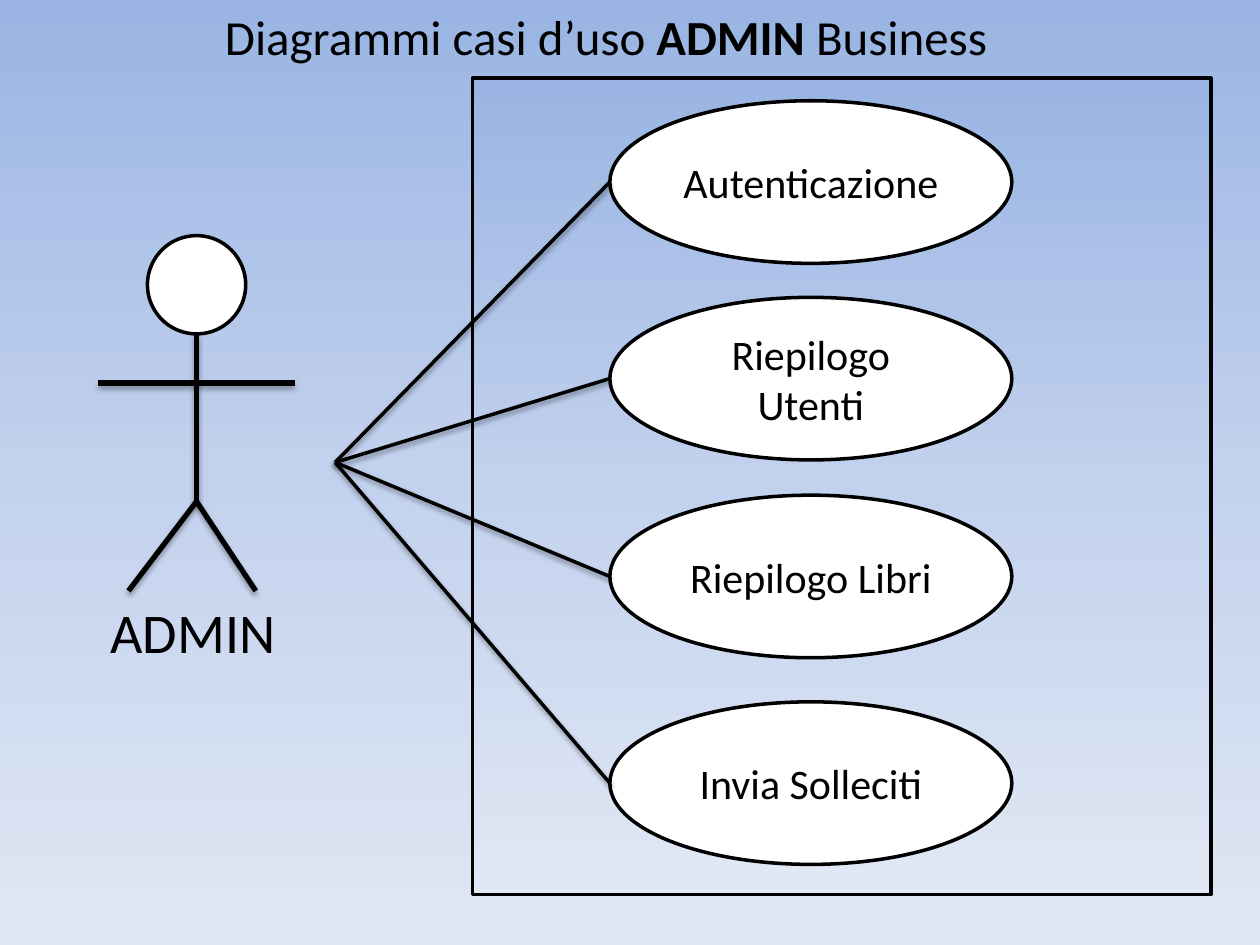
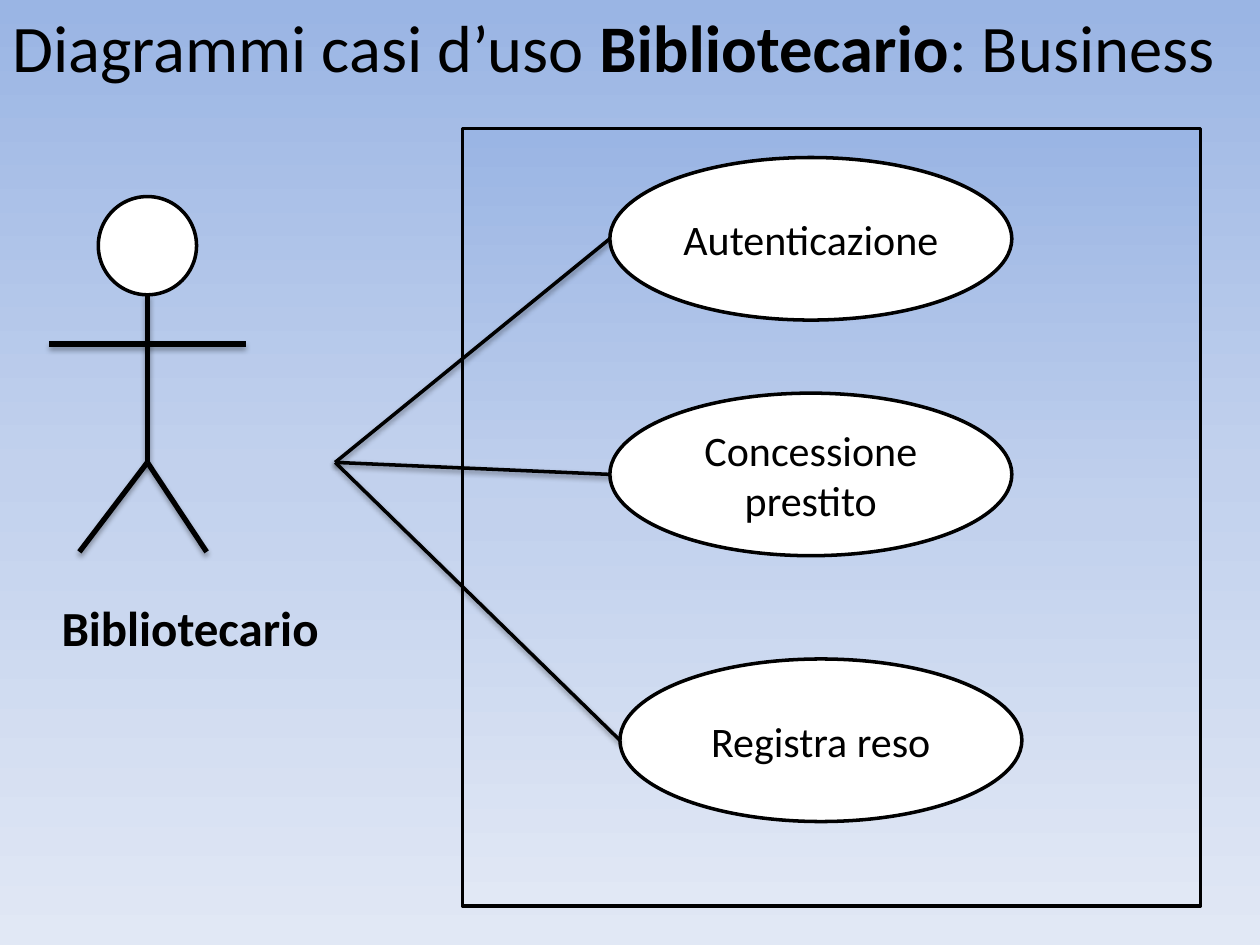
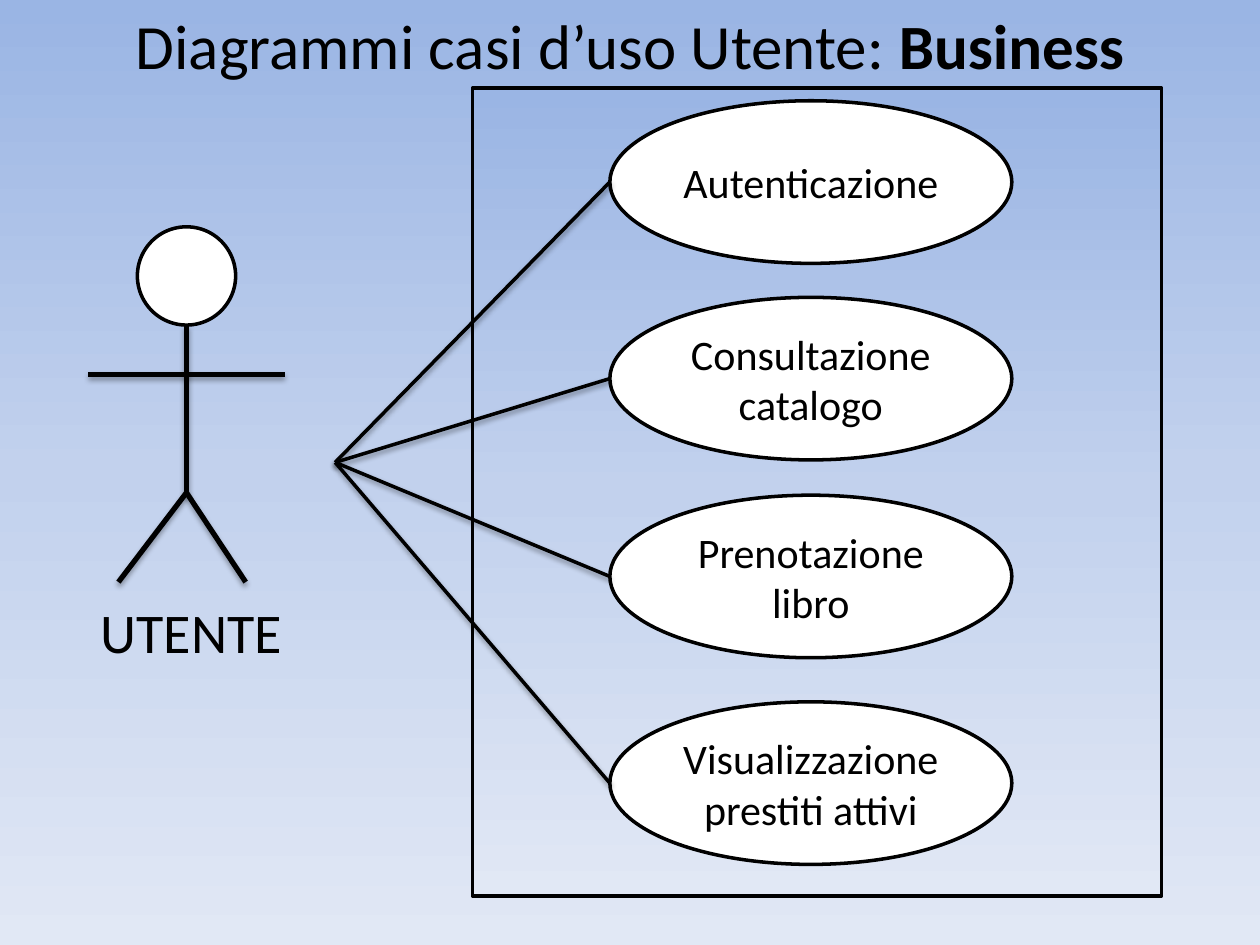
from lxml.etree import SubElement
from pptx import Presentation
from pptx.dml.color import RGBColor
from pptx.enum.shapes import MSO_CONNECTOR as Connector, MSO_SHAPE as Shape
from pptx.enum.text import MSO_ANCHOR as Anchor, MSO_AUTO_SIZE as AutoSize, PP_ALIGN as Align
from pptx.oxml.ns import qn
from pptx.util import Inches, Pt

BLACK = RGBColor(0x00, 0x00, 0x00)
WHITE = RGBColor(0xFF, 0xFF, 0xFF)
SKY_STOPS = [
    (0, RGBColor(0x9A, 0xB5, 0xE4)),
    (50, RGBColor(0xC2, 0xD1, 0xED)),
    (100, RGBColor(0xE1, 0xE8, 0xF5)),
]
FONT = "Calibri"

CASE_W, CASE_H, CASE_X = 3.19, 1.29, 4.84
CASE_SIZE = 24
HUB = (2.66, 3.67)
HEAD = 0.78
LABEL_Y = 4.69
LIMBS = [
    ((0, 0.78), (0, 2.11)),
    ((0, 2.11), (-0.54, 2.82)),
    ((0, 2.11), (0.47, 2.82)),
    ((-0.78, 1.17), (0.78, 1.17)),
]
LINK_STYLE = {"width": 2, "alpha": 38, "distance": 1.6}
LIMB_STYLE = {"width": 3, "alpha": 35, "distance": 1.8}

DIAGRAMS = [
    {
        "title": [("Diagrammi casi d’uso ", False), ("ADMIN ", True), ("Business", False)],
        "title_box": (0.31, 0, 9, 1.25),
        "title_size": 28,
        "title_align": Align.CENTER,
        "system": (3.75, 0.62, 5.86, 6.48),
        "cases": [
            ("Autenticazione", CASE_X, 0.8),
            ("Riepilogo Utenti", CASE_X, 2.36),
            ("Riepilogo Libri", CASE_X, 3.93),
            ("Invia Solleciti", CASE_X, 5.57),
        ],
        "actor": ("ADMIN", False),
        "actor_box": (0.78, LABEL_Y, 1.56, 0.64),
        "actor_size": 32,
        "head_top": (1.56, 1.87),
    },
    {
        "title": [("Diagrammi casi d’uso ", False), ("Bibliotecario", True), (": Business", False)],
        "title_box": (0, 0, 10, 1.48),
        "title_size": 38,
        "title_align": Align.LEFT,
        "system": (3.67, 1.02, 5.86, 6.17),
        "cases": [
            ("Autenticazione", CASE_X, 1.25),
            ("Concessione prestito", CASE_X, 3.12),
            ("Registra reso", 4.92, 5.23),
        ],
        "actor": ("Bibliotecario", True),
        "actor_box": (0.39, LABEL_Y, 2.27, 0.57),
        "actor_size": 28,
        "head_top": (1.17, 1.56),
    },
    {
        "title": [("Diagrammi casi d’uso Utente: ", False), ("Business", True)],
        "title_box": (0, 0, 10, 1.33),
        "title_size": 36,
        "title_align": Align.CENTER,
        "system": (3.75, 0.7, 5.47, 6.41),
        "cases": [
            ("Autenticazione", CASE_X, 0.8),
            ("Consultazione catalogo", CASE_X, 2.36),
            ("Prenotazione libro", CASE_X, 3.93),
            ("Visualizzazione prestiti attivi", CASE_X, 5.57),
        ],
        "actor": ("UTENTE", False),
        "actor_box": (0.7, LABEL_Y, 1.64, 0.64),
        "actor_size": 32,
        "head_top": (1.48, 1.8),
    },
]


def inches(lengths):
    return [Inches(length) for length in lengths]


def paint_sky(fill, owner):
    fill.gradient()
    fill.gradient_angle = 270
    stops = next(owner.iter(qn("a:gsLst")))
    for stop in list(stops):
        stops.remove(stop)
    for position, color in SKY_STOPS:
        stop = SubElement(stops, qn("a:gs"), pos=str(position * 1000))
        SubElement(stop, qn("a:srgbClr"), val=str(color))


def write(frame, runs, size, align):
    frame.word_wrap = True
    paragraph = frame.paragraphs[0]
    paragraph.alignment = align
    for words, bold in runs:
        run = paragraph.add_run()
        run.text = words
        run.font.name = FONT
        run.font.size = Pt(size)
        run.font.bold = bold
        run.font.color.rgb = BLACK


def add_outlined(slide, preset, box):
    shape = slide.shapes.add_shape(preset, *inches(box))
    shape.shadow.inherit = False
    shape.line.color.rgb = BLACK
    shape.line.width = Pt(2)
    return shape


def add_ellipse(slide, box):
    ellipse = add_outlined(slide, Shape.OVAL, box)
    ellipse.fill.solid()
    ellipse.fill.fore_color.rgb = WHITE
    return ellipse


def add_line(slide, start, end, width, alpha, distance):
    line = slide.shapes.add_connector(Connector.STRAIGHT, *inches(start + end))
    line.line.color.rgb = BLACK
    line.line.width = Pt(width)
    effects = SubElement(line.element.spPr, qn("a:effectLst"))
    shadow = SubElement(effects, qn("a:outerShdw"), blurRad=str(Pt(3.1)),
                        dist=str(Pt(distance)), dir="5400000", rotWithShape="0")
    color = SubElement(shadow, qn("a:srgbClr"), val=str(BLACK))
    SubElement(color, qn("a:alpha"), val=str(alpha * 1000))


def add_text(slide, box, runs, size, align):
    frame = slide.shapes.add_textbox(*inches(box)).text_frame
    write(frame, runs, size, align)
    return frame


def add_cases(slide, cases):
    for name, left, top in cases:
        frame = add_ellipse(slide, (left, top, CASE_W, CASE_H)).text_frame
        frame.vertical_anchor = Anchor.MIDDLE
        write(frame, [(name, False)], CASE_SIZE, Align.CENTER)
    for _, left, top in cases:
        add_line(slide, HUB, (left, top + CASE_H / 2), **LINK_STYLE)


def add_actor(slide, center, top):
    add_ellipse(slide, (center - HEAD / 2, top, HEAD, HEAD))
    for joints in LIMBS:
        start, end = [(center + dx, top + dy) for dx, dy in joints]
        add_line(slide, start, end, **LIMB_STYLE)


def build_diagram(deck, diagram):
    slide = deck.slides.add_slide(deck.slide_layouts[6])
    paint_sky(slide.background.fill, slide.element)
    system = add_outlined(slide, Shape.RECTANGLE, diagram["system"])
    paint_sky(system.fill, system.element)
    add_cases(slide, diagram["cases"])
    label = add_text(slide, diagram["actor_box"], [diagram["actor"]],
                     diagram["actor_size"], Align.LEFT)
    label.auto_size = AutoSize.SHAPE_TO_FIT_TEXT
    add_text(slide, diagram["title_box"], diagram["title"],
             diagram["title_size"], diagram["title_align"])
    add_actor(slide, *diagram["head_top"])


def main():
    deck = Presentation()
    deck.slide_width, deck.slide_height = Inches(10), Inches(7.5)
    for diagram in DIAGRAMS:
        build_diagram(deck, diagram)
    deck.save("out.pptx")


if __name__ == "__main__":
    main()
